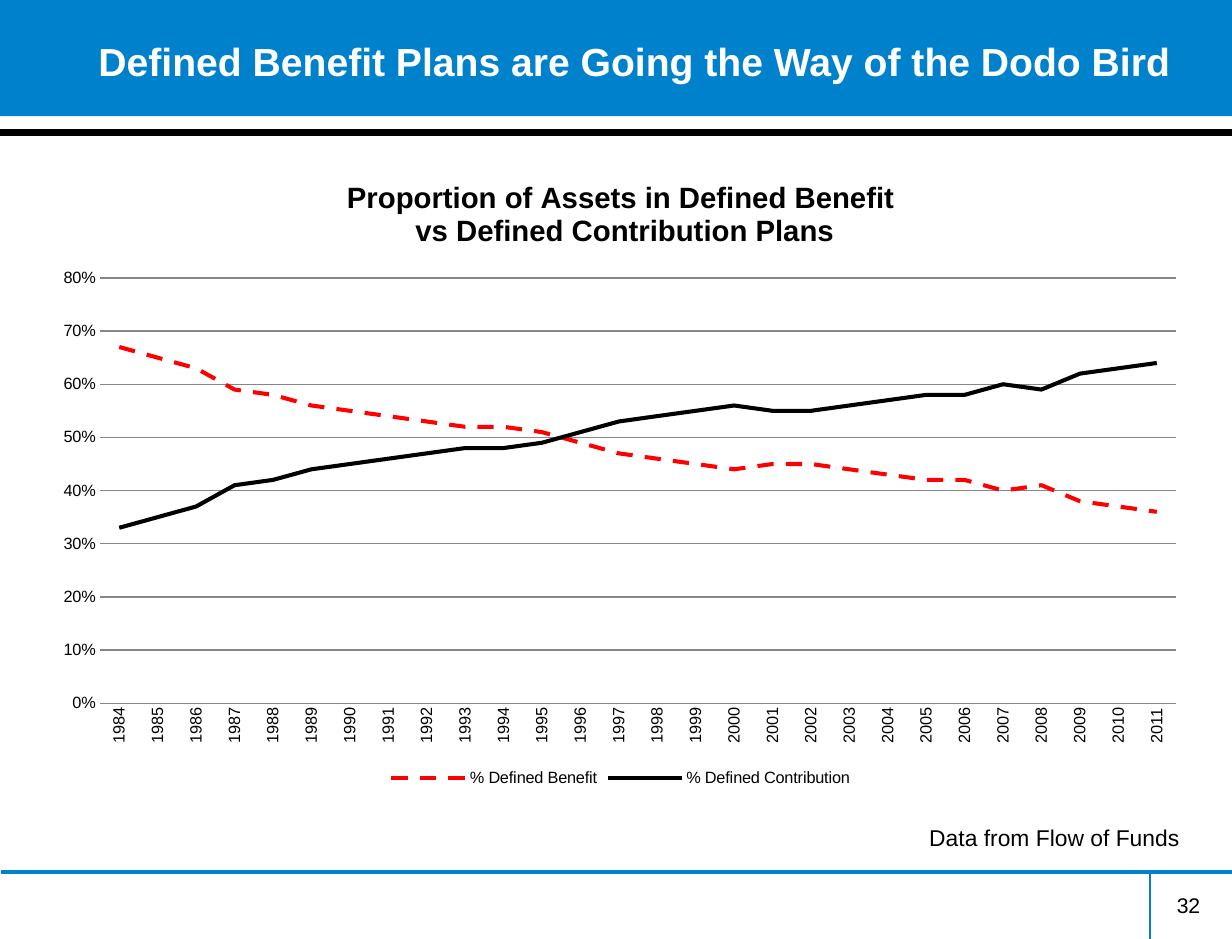
from dataclasses import dataclass

from lxml.etree import fromstring
from pptx import Presentation
from pptx.chart.chart import Chart
from pptx.chart.data import CategoryChartData
from pptx.dml.color import RGBColor
from pptx.enum.chart import XL_CHART_TYPE as ChartType, XL_LEGEND_POSITION as LegendPos
from pptx.enum.chart import XL_MARKER_STYLE as Marker, XL_TICK_MARK as Tick
from pptx.enum.dml import MSO_LINE_DASH_STYLE as Dash
from pptx.enum.shapes import MSO_CONNECTOR as Connector, MSO_SHAPE as Shape
from pptx.enum.text import MSO_ANCHOR as Anchor, PP_ALIGN as Align
from pptx.oxml.ns import nsdecls, qn
from pptx.oxml.xmlchemy import OxmlElement
from pptx.slide import Slide
from pptx.util import Pt


@dataclass(frozen=True)
class Theme:
    font: str = "Arial"
    blue: RGBColor = RGBColor(0x00, 0x81, 0xCC)
    black: RGBColor = RGBColor(0, 0, 0)
    white: RGBColor = RGBColor(0xFF, 0xFF, 0xFF)
    red: RGBColor = RGBColor(0xFF, 0, 0)
    grid: RGBColor = RGBColor(0x86, 0x86, 0x86)
    title: float = 24
    chart_title: float = 18
    source: float = 14
    number: float = 13
    chart: float = 10


T = Theme()
WIDTH, HEIGHT = 756, 576
FOOTER_Y = 535


@dataclass(frozen=True)
class Rule:
    x1: float
    y1: float
    x2: float
    y2: float
    color: RGBColor
    width: float


@dataclass(frozen=True)
class Label:
    text: str
    x: float
    y: float
    w: float
    h: float
    size: float
    color: RGBColor = T.black
    bold: bool = False
    align: Align = Align.LEFT
    anchor: Anchor = Anchor.TOP
    before: float = 0
    leading: float | None = None


@dataclass(frozen=True)
class Series:
    name: str
    percents: tuple[int, ...]
    color: RGBColor
    dash: Dash


RULES = (
    Rule(0, 81.4, WIDTH, 81.4, T.black, 4),
    Rule(0.7, FOOTER_Y, WIDTH, FOOTER_Y, T.blue, 2),
    Rule(705.6, FOOTER_Y, 705.6, HEIGHT, T.blue, 1),
)
LABELS = (
    Label("Defined Benefit Plans are Going the Way of the Dodo Bird",
          52.5, -10.8, 680.4, 95.8, T.title, T.white, True, anchor=Anchor.MIDDLE),
    Label("Data from Flow of Funds", 562.3, 492.5, 178.6, 39.6, T.source,
          before=12.6, leading=26),
    Label("32", 568, 543.6, 176.4, 40.3, T.number, align=Align.RIGHT),
)
CHART_TITLE = ("Proportion of Assets in Defined Benefit", " vs Defined Contribution Plans")
YEARS = range(1984, 2012)
SERIES = (
    Series("% Defined Benefit",
           (67, 65, 63, 59, 58, 56, 55, 54, 53, 52, 52, 51, 49, 47,
            46, 45, 44, 45, 45, 44, 43, 42, 42, 40, 41, 38, 37, 36), T.red, Dash.DASH),
    Series("% Defined Contribution",
           (33, 35, 37, 41, 42, 44, 45, 46, 47, 48, 48, 49, 51, 53,
            54, 55, 56, 55, 55, 56, 57, 58, 58, 60, 59, 62, 63, 64), T.black, Dash.SOLID),
)


def add_band(s: Slide) -> None:
    sp = s.shapes.add_shape(Shape.RECTANGLE, 0, 0, Pt(WIDTH), Pt(71.3))
    sp.shadow.inherit = False
    sp.fill.solid()
    sp.fill.fore_color.rgb = T.blue
    sp.line.fill.background()


def add_rule(s: Slide, rule: Rule) -> None:
    ends = (Pt(v) for v in (rule.x1, rule.y1, rule.x2, rule.y2))
    cx = s.shapes.add_connector(Connector.STRAIGHT, *ends)
    cx.line.color.rgb = rule.color
    cx.line.width = Pt(rule.width)
    cx._element.spPr.append(OxmlElement("a:effectLst"))


def add_label(s: Slide, label: Label) -> None:
    box = (Pt(v) for v in (label.x, label.y, label.w, label.h))
    tf = s.shapes.add_textbox(*box).text_frame
    tf.word_wrap = True
    tf.vertical_anchor = label.anchor
    tf.margin_left = tf.margin_right = Pt(7.9)
    p = tf.paragraphs[0]
    p.alignment = label.align
    p.space_before = Pt(label.before)
    if label.leading:
        p.line_spacing = Pt(label.leading)
    r = p.add_run()
    r.text = label.text
    r.font.name, r.font.size, r.font.bold = T.font, Pt(label.size), label.bold
    r.font.color.rgb = label.color


def set_plot_layout(chart: Chart, x: float, y: float, w: float, h: float) -> None:
    area = chart._chartSpace.chart.plotArea
    for old in area.findall(qn("c:layout")):
        area.remove(old)
    sizes = "".join(f'<c:{k} val="{v}"/>' for k, v in zip("xywh", (x, y, w, h)))
    area.insert(0, fromstring(
        f'<c:layout {nsdecls("c")}><c:manualLayout><c:layoutTarget val="inner"/>'
        f'<c:xMode val="edge"/><c:yMode val="edge"/>{sizes}</c:manualLayout></c:layout>'))


def style_axes(chart: Chart) -> None:
    years, share = chart.category_axis, chart.value_axis
    years.major_tick_mark = years.minor_tick_mark = Tick.NONE
    years.format.line.color.rgb = T.grid
    years.tick_labels.font.size = Pt(T.chart)
    body = years._element.find(qn("c:txPr")).find(qn("a:bodyPr"))
    body.set("rot", "-5400000")
    body.set("vert", "horz")
    share.minimum_scale, share.maximum_scale, share.major_unit = 0, 0.8, 0.1
    share.major_tick_mark, share.minor_tick_mark = Tick.INSIDE, Tick.NONE
    share.format.line.fill.background()
    share.major_gridlines.format.line.color.rgb = T.grid
    share.major_gridlines.format.line.width = Pt(0.75)
    share.tick_labels.number_format = "0%"
    share.tick_labels.number_format_is_linked = False


def add_line_chart(s: Slide) -> None:
    data = CategoryChartData(number_format="0%")
    data.categories = [str(year) for year in YEARS]
    for series in SERIES:
        data.add_series(series.name, [v / 100 for v in series.percents])
    box = (Pt(v) for v in (25.9, 96.5, 710, 389.5))
    chart = s.shapes.add_chart(ChartType.LINE, *box, data).chart
    chart.font.name, chart.font.size = T.font, Pt(T.chart)
    chart.font.color.rgb = T.black
    chart.has_legend = True
    chart.legend.position = LegendPos.BOTTOM
    chart.legend.include_in_layout = False
    tf = chart.chart_title.text_frame
    for i, line in enumerate(CHART_TITLE):
        p = tf.add_paragraph() if i else tf.paragraphs[0]
        r = p.add_run()
        r.text = line
        r.font.name, r.font.size, r.font.bold = T.font, Pt(T.chart_title), True
        r.font.color.rgb = T.black
    style_axes(chart)
    set_plot_layout(chart, 0.05, 0.19, 0.93, 0.67)
    chart.plots[0].vary_by_categories = False
    for line, series in zip(chart.plots[0].series, SERIES):
        line.smooth = False
        line.marker.style = Marker.NONE
        line.format.line.color.rgb = series.color
        line.format.line.width = Pt(2.5)
        line.format.line.dash_style = series.dash


def main() -> None:
    """Build the slide on pension plan assets and save it."""
    prs = Presentation()
    prs.slide_width, prs.slide_height = Pt(WIDTH), Pt(HEIGHT)
    s = prs.slides.add_slide(prs.slide_layouts[6])
    add_band(s)
    for rule in RULES:
        add_rule(s, rule)
    for label in LABELS:
        add_label(s, label)
    add_line_chart(s)
    prs.save("out.pptx")


if __name__ == "__main__":
    main()
